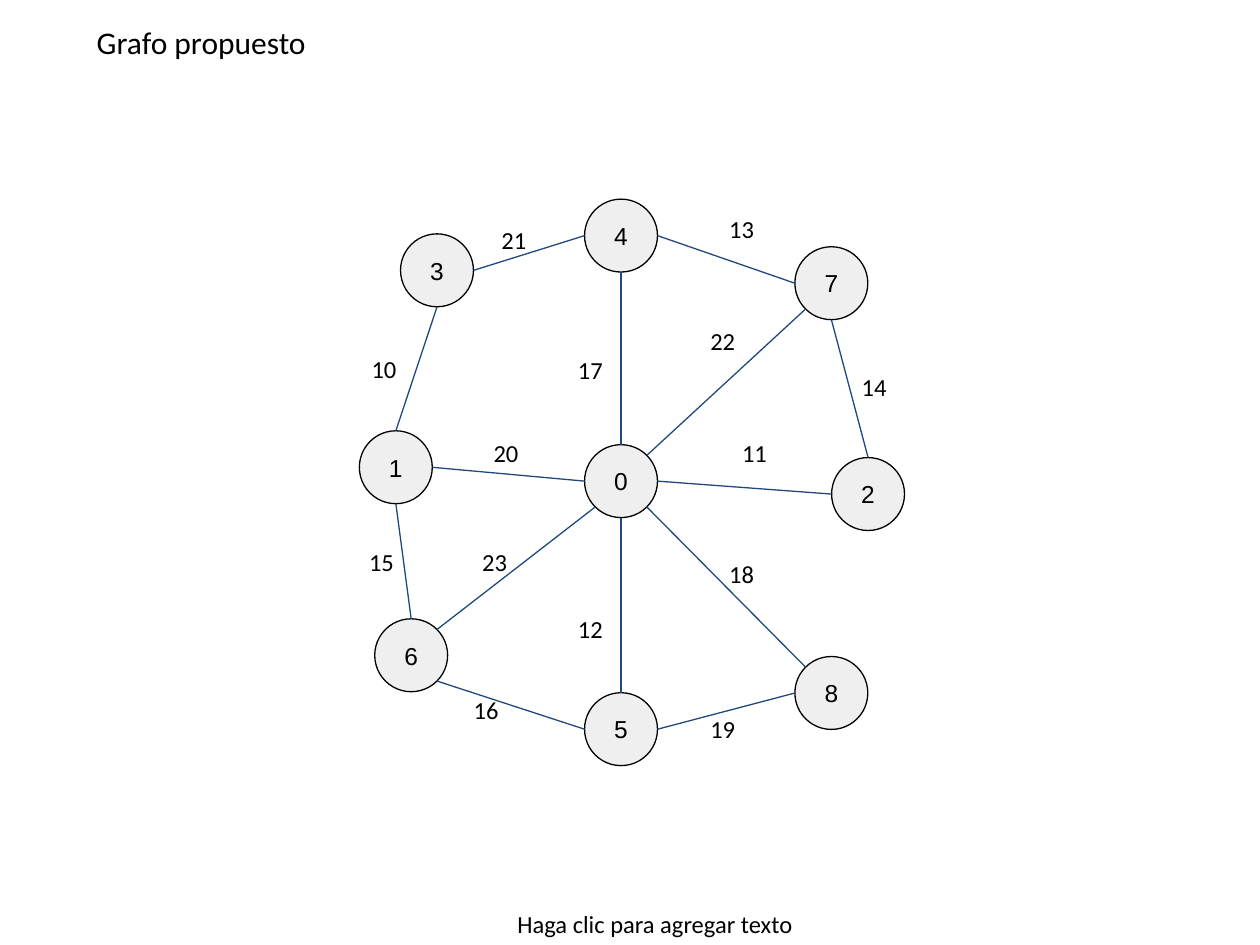
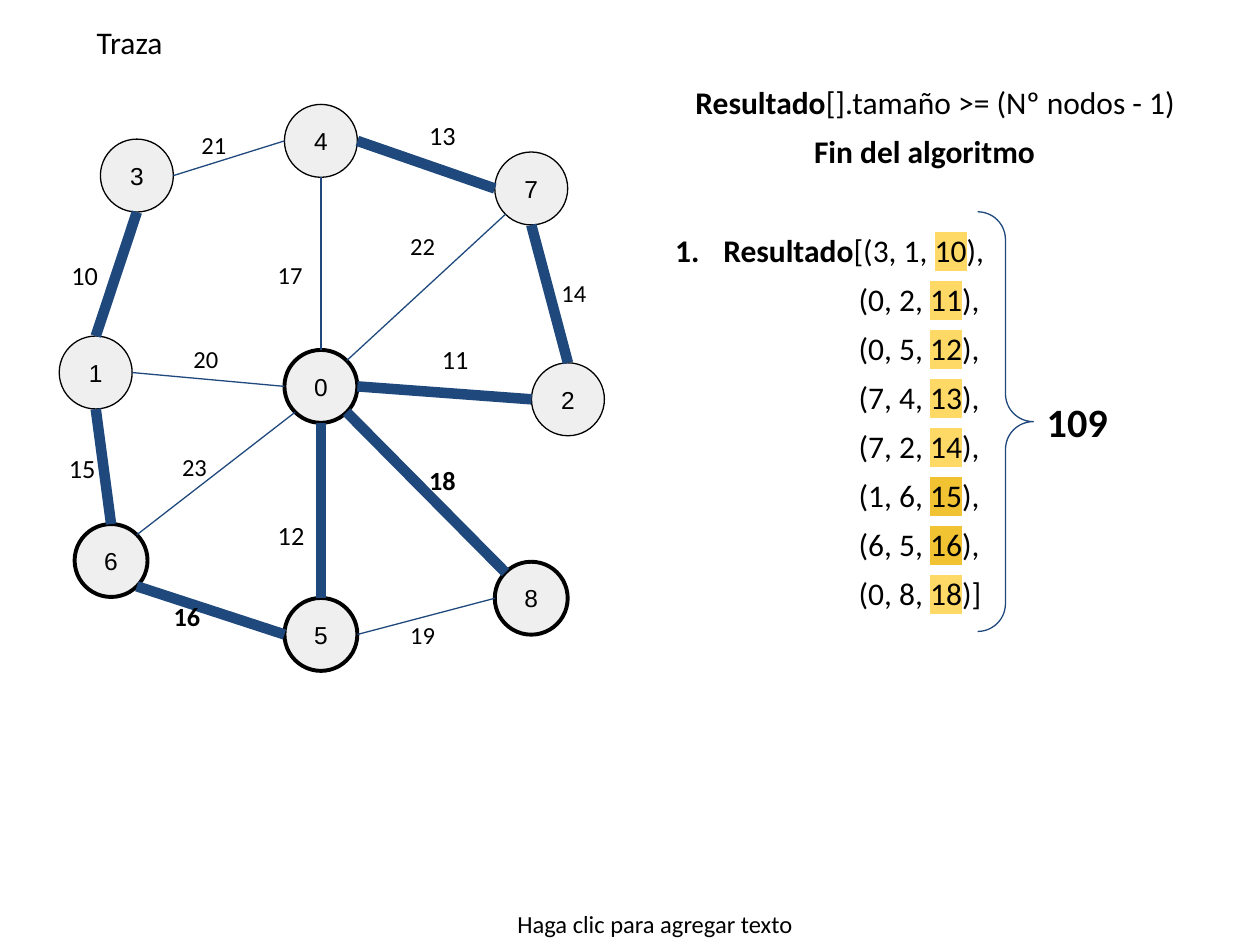
from dataclasses import dataclass
from math import sqrt

from lxml.etree import SubElement
from pptx import Presentation
from pptx.dml.color import RGBColor
from pptx.enum.shapes import MSO_CONNECTOR as Link, MSO_SHAPE as Shape
from pptx.enum.text import MSO_ANCHOR as Anchor, MSO_AUTO_SIZE as Fit, PP_ALIGN as Align
from pptx.oxml import parse_xml
from pptx.oxml.ns import nsdecls, qn
from pptx.util import Cm, Pt


@dataclass(frozen=True)
class Theme:
    ink: str = "000000"
    node: str = "EFEFEF"
    edge: str = "1F497D"
    gold: str = "FFD966"
    amber: str = "F1C232"
    font: str = "Calibri"
    node_font: str = "Arial"
    heading: float = 18
    label: float = 14
    big_label: float = 15
    total: float = 23
    thin: float = 0.75
    ring: float = 2.25
    thick: float = 6
    gap: float = 6.4


THEME = Theme()
FOOTER = "Haga clic para agregar texto"
DIAMETER = 1.47
LABEL_SIZE = 1.12
INSET = 0.25

NODES = {
    0: (12.52, 9.7), 1: (7.98, 9.42), 2: (17.5, 9.96),
    3: (8.81, 5.45), 4: (12.52, 4.75), 5: (12.52, 14.7),
    6: (8.29, 13.21), 7: (16.76, 5.71), 8: (16.76, 13.97),
}
EDGES = [
    (3, "E", 4, "W", 21, (9.86, 4.29)),
    (4, "E", 7, "W", 13, (14.45, 4.06)),
    (7, "S", 2, "N", 14, (17.12, 7.26)),
    (1, "N", 3, "S", 10, (7.24, 6.88)),
    (1, "S", 6, "N", 15, (7.19, 10.77)),
    (6, "SE", 5, "W", 16, (9.3, 13.77)),
    (0, "SW", 6, "NE", 23, (9.47, 10.77)),
    (0, "S", 5, "N", 12, (11.4, 12.12)),
    (0, "SE", 8, "NW", 18, (14.45, 11.02)),
    (0, "E", 2, "W", 11, (14.71, 8.59)),
    (0, "NE", 7, "SW", 22, (14.07, 6.32)),
    (0, "N", 4, "S", 17, (11.4, 6.91)),
    (1, "E", 0, "W", 20, (9.7, 8.59)),
    (5, "E", 8, "W", 19, (14.07, 14.15)),
]
GRAPHS = {
    "Grafo propuesto": dict(shift=(0, 0)),
    "Traza": dict(
        shift=(-6.05, -1.91),
        ringed={0, 5, 6, 8},
        tree={10, 11, 12, 13, 14, 15, 16, 18},
        big={10, 11, 12, 13, 15, 16, 18},
        bold={16, 18},
    ),
}
CONDITION = ("Resultado", "[].tamaño >= (Nº nodos - 1)")
ENDING = "Fin del algoritmo"
RESULT = [
    (3, 1, 10), (0, 2, 11), (0, 5, 12), (7, 4, 13),
    (7, 2, 14), (1, 6, 15), (6, 5, 16), (0, 8, 18),
]
AMBER_WEIGHTS = {15, 16}
TOTAL = "109"


def color(code):
    return RGBColor.from_string(code)


def style(para, size, font=THEME.font, bold=None):
    for span in para.runs:
        span.font.size = Pt(size)
        span.font.name = font
        span.font.color.rgb = color(THEME.ink)
        if bold is not None:
            span.font.bold = bold


def set_frame(shape, across=INSET, down=INSET, anchor=Anchor.TOP, wrap=True):
    frame = shape.text_frame
    frame.word_wrap = wrap
    frame.auto_size = Fit.NONE
    frame.vertical_anchor = anchor
    frame.margin_left = frame.margin_right = Cm(across)
    frame.margin_top = frame.margin_bottom = Cm(down)
    return frame


def place(shape, left, top, width, height):
    shape.left, shape.top = Cm(left), Cm(top)
    shape.width, shape.height = Cm(width), Cm(height)


def add_text(page, text, area, size, align=Align.LEFT, bold=False, **frame_options):
    box = page.shapes.add_textbox(*map(Cm, area))
    frame = set_frame(box, **frame_options)
    frame.text = text
    frame.paragraphs[0].alignment = align
    style(frame.paragraphs[0], size, bold=bold)


def add_page(deck, layout, title):
    page = deck.slides.add_slide(deck.slide_layouts[layout])
    heading = page.shapes.title
    place(heading, 1.7, 0.53, 21.79, 0.61)
    frame = set_frame(heading, down=0.13, anchor=Anchor.MIDDLE)
    frame.text = title
    frame.paragraphs[0].alignment = Align.LEFT
    style(frame.paragraphs[0], THEME.heading)
    add_text(page, FOOTER, (2.31, 18.31, 21.79, 0.61), THEME.label,
             align=Align.CENTER, down=0.13, anchor=Anchor.MIDDLE)
    return page


def site(center, side):
    across = ("E" in side) - ("W" in side)
    down = ("S" in side) - ("N" in side)
    reach = DIAMETER / 2 / sqrt(across ** 2 + down ** 2)
    return Cm(center[0] + across * reach), Cm(center[1] + down * reach)


def draw_graph(page, shift, ringed=(), tree=(), big=(), bold=()):
    def moved(point):
        return point[0] + shift[0], point[1] + shift[1]

    centers = {number: moved(point) for number, point in NODES.items()}
    for number, (x, y) in centers.items():
        node = page.shapes.add_shape(
            Shape.FLOWCHART_CONNECTOR, Cm(x - DIAMETER / 2), Cm(y - DIAMETER / 2),
            Cm(DIAMETER), Cm(DIAMETER))
        node.shadow.inherit = False
        node.fill.solid()
        node.fill.fore_color.rgb = color(THEME.node)
        node.line.color.rgb = color(THEME.ink)
        node.line.width = Pt(THEME.ring if number in ringed else THEME.thin)
        frame = set_frame(node, across=0, down=0, anchor=Anchor.MIDDLE)
        frame.text = str(number)
        frame.paragraphs[0].alignment = Align.CENTER
        style(frame.paragraphs[0], THEME.label, THEME.node_font)

    for start, start_side, end, end_side, weight, spot in EDGES:
        edge = page.shapes.add_connector(
            Link.STRAIGHT, *site(centers[start], start_side), *site(centers[end], end_side))
        edge.line.color.rgb = color(THEME.edge)
        edge.line.width = Pt(THEME.thick if weight in tree else THEME.thin)
        SubElement(edge._element.spPr, qn("a:effectLst"))

    for *_, weight, spot in EDGES:
        add_text(page, str(weight), (*moved(spot), LABEL_SIZE, LABEL_SIZE),
                 THEME.big_label if weight in big else THEME.label,
                 bold=weight in bold, wrap=False)


def add_line(frame, spans, indent, hanging=0, numbered=False, gap=THEME.gap):
    first = frame.paragraphs[0]
    para = frame.add_paragraph() if first.runs else first
    para.alignment = Align.LEFT
    para.space_before = Pt(gap)
    for text, bold, mark in spans:
        span = para.add_run()
        span.text = text
        span.font.bold = bold
    style(para, THEME.heading)
    for span, (_, _, mark) in zip(para.runs, spans):
        if mark:
            latin = span._r.get_or_add_rPr().find(qn("a:latin"))
            latin.addprevious(parse_xml(
                f'<a:highlight {nsdecls("a")}><a:srgbClr val="{mark}"/></a:highlight>'))
    props = para._p.get_or_add_pPr()
    props.set("marL", str(Cm(indent)))
    props.set("indent", str(Cm(-hanging)))
    if numbered:
        SubElement(props, qn("a:buFont"), typeface=THEME.font)
        SubElement(props, qn("a:buAutoNum"), type="arabicPeriod")
    else:
        SubElement(props, qn("a:buNone"))


def draw_result(page):
    body = page.placeholders[1]
    place(body, 13.06, 1.42, 11.43, 11.25)
    frame = set_frame(body)
    name, rule = CONDITION
    add_line(frame, [(name, True, None), (rule, False, None)], 0.71)
    add_line(frame, [(ENDING, True, None)], 3.1)
    for row, (start, end, weight) in enumerate(RESULT):
        mark = THEME.amber if weight in AMBER_WEIGHTS else THEME.gold
        closing = ")]" if row == len(RESULT) - 1 else "),"
        opening = f"({start}, {end}, "
        tail = [(str(weight), False, mark), (closing, False, None)]
        if row == 0:
            add_line(frame, [(name, True, None), ("[" + opening, False, None), *tail],
                     1.27, hanging=0.97, numbered=True, gap=34.8)
        else:
            add_line(frame, [(opening, False, None), *tail], 4)

    brace = page.shapes.add_shape(Shape.RIGHT_BRACE, Cm(19.71), Cm(4.27), Cm(1.12), Cm(8.46))
    brace.adjustments[0] = 0.5
    brace.shadow.inherit = False
    brace.fill.background()
    brace.line.color.rgb = color(THEME.edge)
    brace.line.width = Pt(THEME.thin)
    add_text(page, TOTAL, (20.85, 7.75, 2.2, 1.5), THEME.total, bold=True)


def main():
    deck = Presentation()
    deck.slide_width, deck.slide_height = Cm(25.4), Cm(19.05)
    for title, graph in GRAPHS.items():
        traced = "tree" in graph
        page = add_page(deck, 1 if traced else 5, title)
        draw_graph(page, **graph)
        if traced:
            draw_result(page)
    deck.save("out.pptx")


if __name__ == "__main__":
    main()
